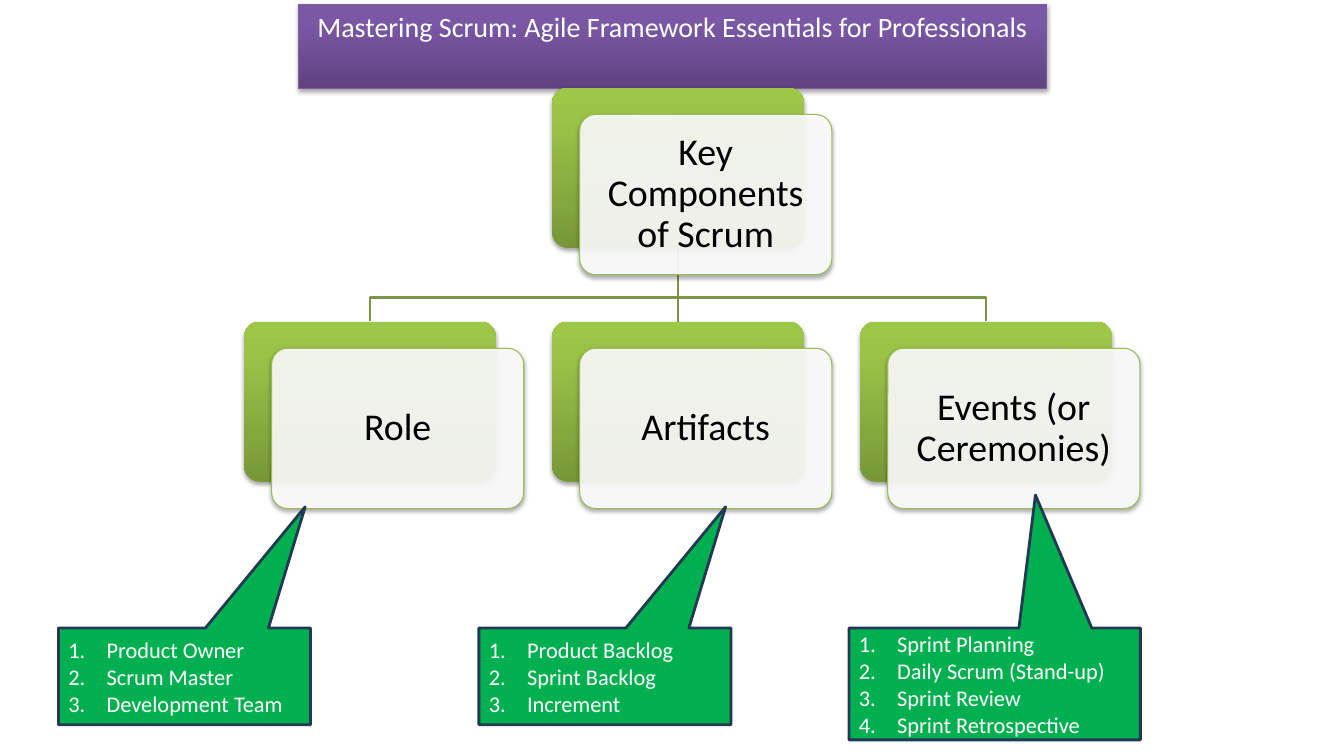
import copy
from dataclasses import dataclass
from lxml import etree
from pptx import Presentation, util as u
from pptx.dml.color import RGBColor as RGB
from pptx.enum import shapes, text
from pptx.oxml import parse_xml
from pptx.oxml.ns import nsdecls, qn


@dataclass(frozen=True)
class Theme:
    font: str = "Calibri"
    title_size: float = 20
    card_size: float = 27
    list_size: float = 16
    white: str = "FFFFFF"
    black: str = "000000"
    branch: str = "7C9647"
    card_edge: str = "9BBB59"
    greens: tuple = ("779737", "9BC348", "9DC746")
    purples: tuple = ("5F4480", "7B58A6", "7C57A8")
    title_edge: str = "7D60A0"
    callout: str = "00B050"
    callout_edge: str = "233953"


def raise_with_gradient(shape, colors):
    shape.fill.gradient()
    shape.fill.gradient_angle = 90
    stops = shape.fill.gradient_stops
    for stop, color, position in zip(stops, colors, (0, 0.8)):
        stop.color.rgb = RGB.from_string(color)
        stop.position = position
    last = copy.deepcopy(stops[1]._gs)
    stops[1]._gs.addnext(last)
    shape.fill.gradient_stops[2].position = 1
    shape.fill.gradient_stops[2].color.rgb = RGB.from_string(colors[2])
    cast_shadow(shape)


def cast_shadow(shape):
    shape.shadow.inherit = False
    effects = shape._element.spPr.find(qn("a:effectLst"))
    effects.append(parse_xml(
        f'<a:outerShdw {nsdecls("a")} blurRad="39370" dist="22860" dir="5400000" rotWithShape="0">'
        f'<a:srgbClr val="{theme.black}"><a:alpha val="35000"/></a:srgbClr></a:outerShdw>'))


theme = Theme()
deck = Presentation()
deck.slide_width, deck.slide_height = u.Inches(13.33), u.Inches(7.5)
slide = deck.slides.add_slide(deck.slide_layouts[5])

card_w, card_h = u.Inches(2.5), u.Inches(1.59)
shift_x, shift_y = u.Inches(0.275), u.Inches(0.265)
column = u.Inches(3.055)
first_left = u.Inches(2.42)
root_top, child_top = u.Inches(0.87), u.Inches(3.19)
branch_start, branch_bend = root_top + card_h, u.Inches(2.95)
centers = [first_left + i * column + card_w // 2 for i in range(3)]
root_center = centers[1]

for center in centers:
    if center == root_center:
        branch = slide.shapes.add_connector(
            shapes.MSO_CONNECTOR.STRAIGHT, center, branch_start, center, child_top)
        etree.SubElement(branch._element.spPr, qn("a:effectLst"))
    else:
        route = slide.shapes.build_freeform(root_center, branch_start)
        route.add_line_segments(
            [(root_center, branch_bend), (center, branch_bend), (center, child_top)], close=False)
        branch = route.convert_to_shape()
        branch.fill.background()
        branch.shadow.inherit = False
    branch.line.color.rgb = RGB.from_string(theme.branch)
    branch.line.width = u.Pt(2)

cards = [
    ("Key Components of Scrum", 1, root_top),
    ("Role", 0, child_top),
    ("Artifacts", 1, child_top),
    ("Events (or Ceremonies)", 2, child_top),
]
for label, position, top in cards:
    left = first_left + position * column
    back = slide.shapes.add_shape(
        shapes.MSO_SHAPE.ROUNDED_RECTANGLE, left, top, card_w, card_h)
    back.adjustments[0] = 0.1
    back.line.fill.background()
    raise_with_gradient(back, theme.greens)

    front = slide.shapes.add_shape(
        shapes.MSO_SHAPE.ROUNDED_RECTANGLE, left + shift_x, top + shift_y, card_w, card_h)
    front.adjustments[0] = 0.1
    front.fill.solid()
    front.fill.fore_color.rgb = RGB.from_string(theme.white)
    tint = front._element.spPr.find(qn("a:solidFill"))[0]
    etree.SubElement(tint, qn("a:alpha"), val="90000")
    front.line.color.rgb = RGB.from_string(theme.card_edge)
    front.line.width = u.Pt(0.75)
    cast_shadow(front)
    frame = front.text_frame
    frame.word_wrap = True
    frame.vertical_anchor = text.MSO_ANCHOR.MIDDLE
    frame.margin_left = frame.margin_right = u.Inches(0.11)
    frame.margin_top = frame.margin_bottom = u.Inches(0.11)
    caption = frame.paragraphs[0]
    caption.text = label
    caption.alignment = text.PP_ALIGN.CENTER
    caption.line_spacing = 0.9
    caption.font.name, caption.font.size = theme.font, u.Pt(theme.card_size)
    caption.font.color.rgb = RGB.from_string(theme.black)

title = slide.shapes.title
title.left, title.top = u.Inches(2.96), u.Inches(0.04)
title.width, title.height = u.Inches(7.42), u.Inches(0.44)
title.line.color.rgb = RGB.from_string(theme.title_edge)
title.line.width = u.Pt(0.75)
raise_with_gradient(title, theme.purples)
title.text_frame.text = "Mastering Scrum: Agile Framework Essentials for Professionals"
title.text_frame.auto_size = text.MSO_AUTO_SIZE.SHAPE_TO_FIT_TEXT
title.text_frame.vertical_anchor = text.MSO_ANCHOR.TOP
heading = title.text_frame.paragraphs[0]
heading.alignment = text.PP_ALIGN.CENTER
heading.font.name, heading.font.size = theme.font, u.Pt(theme.title_size)
heading.font.color.rgb = RGB.from_string(theme.white)

callout_top = u.Inches(6.23)
callouts = [
    (0.58, 2.5, 0.96, (0.479, -1.752), ["Product Owner", "Scrum Master", "Development Team"]),
    (4.75, 2.5, 0.96, (0.479, -1.752), ["Product Backlog", "Sprint Backlog", "Increment"]),
    (8.42, 2.89, 1.11, (0.14, -1.689),
     ["Sprint Planning", "Daily Scrum (Stand-up)", "Sprint Review", "Sprint Retrospective"]),
]
for left, width, height, tip, entries in callouts:
    callout = slide.shapes.add_shape(
        shapes.MSO_SHAPE.RECTANGULAR_CALLOUT,
        u.Inches(left), callout_top, u.Inches(width), u.Inches(height))
    callout.adjustments[0], callout.adjustments[1] = tip
    callout.shadow.inherit = False
    callout.fill.solid()
    callout.fill.fore_color.rgb = RGB.from_string(theme.callout)
    callout.line.color.rgb = RGB.from_string(theme.callout_edge)
    callout.line.width = u.Pt(2)
    frame = callout.text_frame
    frame.word_wrap = True
    frame.vertical_anchor = text.MSO_ANCHOR.MIDDLE
    frame.text = "\n".join(entries)
    for entry in frame.paragraphs:
        entry.alignment = text.PP_ALIGN.LEFT
        numbering = entry._p.get_or_add_pPr()
        numbering.set("marL", str(u.Inches(0.38)))
        numbering.set("indent", str(-u.Inches(0.38)))
        etree.SubElement(numbering, qn("a:buFont"), typeface="+mj-lt")
        etree.SubElement(numbering, qn("a:buAutoNum"), type="arabicPeriod")
        entry.font.name, entry.font.size = theme.font, u.Pt(theme.list_size)
        entry.font.color.rgb = RGB.from_string(theme.white)

deck.save("out.pptx")
